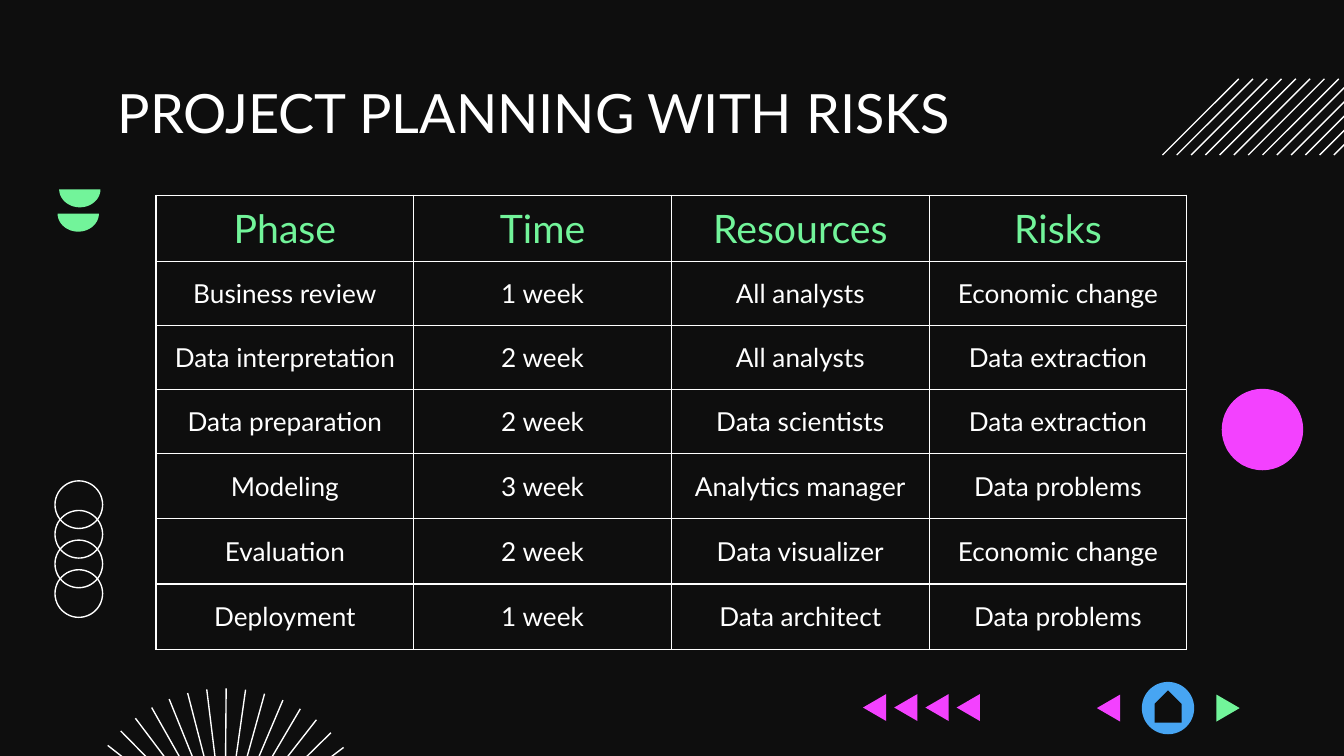
"""Build a project planning slide with a risk table and geometric decorations."""
from dataclasses import dataclass
from math import cos, pi, radians, sin

from lxml import etree
from pptx import Presentation
from pptx.dml.color import RGBColor
from pptx.enum.shapes import MSO_CONNECTOR, MSO_SHAPE
from pptx.enum.text import MSO_ANCHOR, PP_ALIGN
from pptx.oxml.ns import qn
from pptx.util import Cm, Pt

OVAL = MSO_SHAPE.OVAL
HOUSE = MSO_SHAPE.PENTAGON
STRAIGHT = MSO_CONNECTOR.STRAIGHT
MIDDLE = MSO_ANCHOR.MIDDLE
TOP = MSO_ANCHOR.TOP
CENTER = PP_ALIGN.CENTER
LEFT = PP_ALIGN.LEFT
BLANK_LAYOUT = 6


@dataclass(frozen=True)
class Theme:
    """Hold the colours, type sizes and line width of the slide."""

    font: str = "Lato"
    dark: str = "0E0E0E"
    white: str = "FFFFFF"
    green: str = "72F49A"
    pink: str = "F341FF"
    blue: str = "47A5F3"
    title_size: float = 29
    header_size: float = 21
    body_size: float = 14
    line_width: float = 0.75


THEME = Theme()
ROW_HEIGHTS = (1.25, 1.21, 1.21, 1.21, 1.23, 1.24, 1.24)
COLUMN_WIDTH = 4.87
PLAN = (
    ("Phase", "Time", "Resources", "Risks"),
    ("Business review", "1 week", "All analysts", "Economic change"),
    ("Data interpretation", "2 week", "All analysts", "Data extraction"),
    ("Data preparation", "2 week", "Data scientists", "Data extraction"),
    ("Modeling", "3 week", "Analytics manager", "Data problems"),
    ("Evaluation", "2 week", "Data visualizer", "Economic change"),
    ("Deployment", "1 week", "Data architect", "Data problems"),
)


def set_attributes(target, values):
    """Set every named value on the target."""
    for name, value in values.items():
        setattr(target, name, value)


def write_text(paragraph, text, size, color, alignment):
    """Write one formatted run into a paragraph."""
    paragraph.alignment = alignment
    run = paragraph.add_run()
    run.text = text
    set_attributes(run.font, {"name": THEME.font, "size": Pt(size), "bold": False})
    run.font.color.rgb = RGBColor.from_string(color)


def style_line(line):
    """Give a line the thin white stroke."""
    line.color.rgb = RGBColor.from_string(THEME.white)
    line.width = Pt(THEME.line_width)


def style_fill(shape, color):
    """Fill a shape with one colour, without outline or shadow."""
    shape.shadow.inherit = False
    shape.fill.solid()
    shape.fill.fore_color.rgb = RGBColor.from_string(color)
    shape.line.fill.background()


def add_solid(slide, kind, left, top, width, height, color):
    """Add a filled preset shape."""
    shape = slide.shapes.add_shape(kind, Cm(left), Cm(top), Cm(width), Cm(height))
    style_fill(shape, color)
    return shape


def add_ring(slide, left, top, diameter):
    """Add an outlined circle."""
    shape = slide.shapes.add_shape(OVAL, Cm(left), Cm(top), Cm(diameter), Cm(diameter))
    shape.shadow.inherit = False
    shape.fill.background()
    style_line(shape.line)


def add_polygon(slide, points, color):
    """Add a filled outline through points in centimetres."""
    start, *others = [(Cm(x), Cm(y)) for x, y in points]
    builder = slide.shapes.build_freeform(*start)
    builder.add_line_segments(others, close=True)
    style_fill(builder.convert_to_shape(), color)


def add_triangle(slide, left, top, color, points_left=True):
    """Add a small triangle pointing left or right."""
    width, height = 0.44, 0.51
    base, tip = (left + width, left) if points_left else (left, left + width)
    add_polygon(slide, [(base, top), (tip, top + height / 2), (base, top + height)], color)


def add_half_disc(slide, left, top):
    """Add a green bowl with a flat upper edge."""
    radius, depth, steps = 0.39, 0.34, 32
    angles = [pi * step / steps for step in range(steps + 1)]
    points = [(left + radius * (1 - cos(a)), top + depth * sin(a)) for a in angles]
    add_polygon(slide, points, THEME.green)


def add_line(slide, start, end):
    """Add a thin white line between two points in centimetres."""
    ends = [Cm(value) for value in (*start, *end)]
    connector = slide.shapes.add_connector(STRAIGHT, *ends)
    style_line(connector.line)
    etree.SubElement(connector._element.spPr, qn("a:effectLst"))


def add_hatch(slide):
    """Add the slanted parallel lines at the upper right."""
    top, bottom, run = 1.49, 2.93, 1.44
    for index in range(13):
        left = 21.97 + 0.27 * index
        add_line(slide, (left, bottom), (left + run, top))


def add_sunburst(slide):
    """Add the fan of rays at the lower edge."""
    center_x, center_y, inner, outer = 4.25, 15.82, 0.81, 2.81
    for index in range(-7, 8):
        angle = radians(7.5 * index + 0.5)
        start, end = [
            (center_x + radius * sin(angle), center_y - radius * cos(angle))
            for radius in (outer, inner)
        ]
        add_line(slide, start, end)


def add_title(slide, text):
    """Add the slide title."""
    box = slide.shapes.add_textbox(Cm(1.98), Cm(1.5), Cm(21.44), Cm(1.17))
    set_attributes(box.text_frame, {
        "word_wrap": True, "vertical_anchor": TOP, "margin_left": Cm(0.25),
        "margin_right": Cm(0.25), "margin_top": 0, "margin_bottom": Cm(0.25),
    })
    write_text(box.text_frame.paragraphs[0], text, THEME.title_size, THEME.white, LEFT)


def add_cell_borders(cell):
    """Draw a thin white line on each side of a cell."""
    properties = cell._tc.get_or_add_tcPr()
    for side in ("lnL", "lnR", "lnT", "lnB"):
        line = etree.SubElement(properties, qn(f"a:{side}"), w=str(Pt(THEME.line_width)))
        fill = etree.SubElement(line, qn("a:solidFill"))
        etree.SubElement(fill, qn("a:srgbClr"), val=THEME.white)


def add_plan_table(slide):
    """Add the table of phases, times, resources and risks."""
    columns = len(PLAN[0])
    table = slide.shapes.add_table(
        len(PLAN), columns, Cm(2.95), Cm(3.69),
        Cm(COLUMN_WIDTH * columns), Cm(sum(ROW_HEIGHTS)),
    ).table
    set_attributes(table, {"first_row": False, "horz_banding": False})
    for column in table.columns:
        column.width = Cm(COLUMN_WIDTH)
    for index, (row, height, texts) in enumerate(zip(table.rows, ROW_HEIGHTS, PLAN)):
        row.height = Cm(height)
        header = index == 0
        size = THEME.header_size if header else THEME.body_size
        color = THEME.green if header else THEME.white
        side = Cm(0 if header else 0.2)
        for cell, text in zip(row.cells, texts):
            set_attributes(cell, {
                "vertical_anchor": MIDDLE, "margin_left": side, "margin_right": side,
                "margin_top": 0, "margin_bottom": 0,
            })
            add_cell_borders(cell)
            cell.fill.background()
            write_text(cell.text_frame.paragraphs[0], text, size, color, CENTER)


def add_navigation(slide):
    """Add the home button between its two arrows."""
    add_solid(slide, OVAL, 21.58, 12.89, 0.99, 0.99, THEME.blue)
    house = add_solid(slide, HOUSE, 21.77, 13.1, 0.61, 0.51, THEME.dark)
    house.rotation = 270
    add_triangle(slide, 20.73, 13.13, THEME.pink)
    add_triangle(slide, 22.99, 13.13, THEME.green, points_left=False)


def main():
    """Build and save the presentation."""
    presentation = Presentation()
    set_attributes(presentation, {"slide_width": Cm(25.4), "slide_height": Cm(14.29)})
    slide = presentation.slides.add_slide(presentation.slide_layouts[BLANK_LAYOUT])
    slide.background.fill.solid()
    slide.background.fill.fore_color.rgb = RGBColor.from_string(THEME.dark)
    for left, top in ((1.09, 4.04), (1.12, 3.58)):
        add_half_disc(slide, left, top)
    for index in range(4):
        add_ring(slide, 1.04, 9.09 + 0.56 * index, 0.9)
        add_triangle(slide, 16.31 + 0.59 * index, 13.12, THEME.pink)
    add_sunburst(slide)
    add_hatch(slide)
    add_title(slide, "PROJECT PLANNING WITH RISKS")
    add_plan_table(slide)
    add_solid(slide, OVAL, 23.09, 7.35, 1.54, 1.54, THEME.pink)
    add_navigation(slide)
    presentation.save("out.pptx")


if __name__ == "__main__":
    main()
